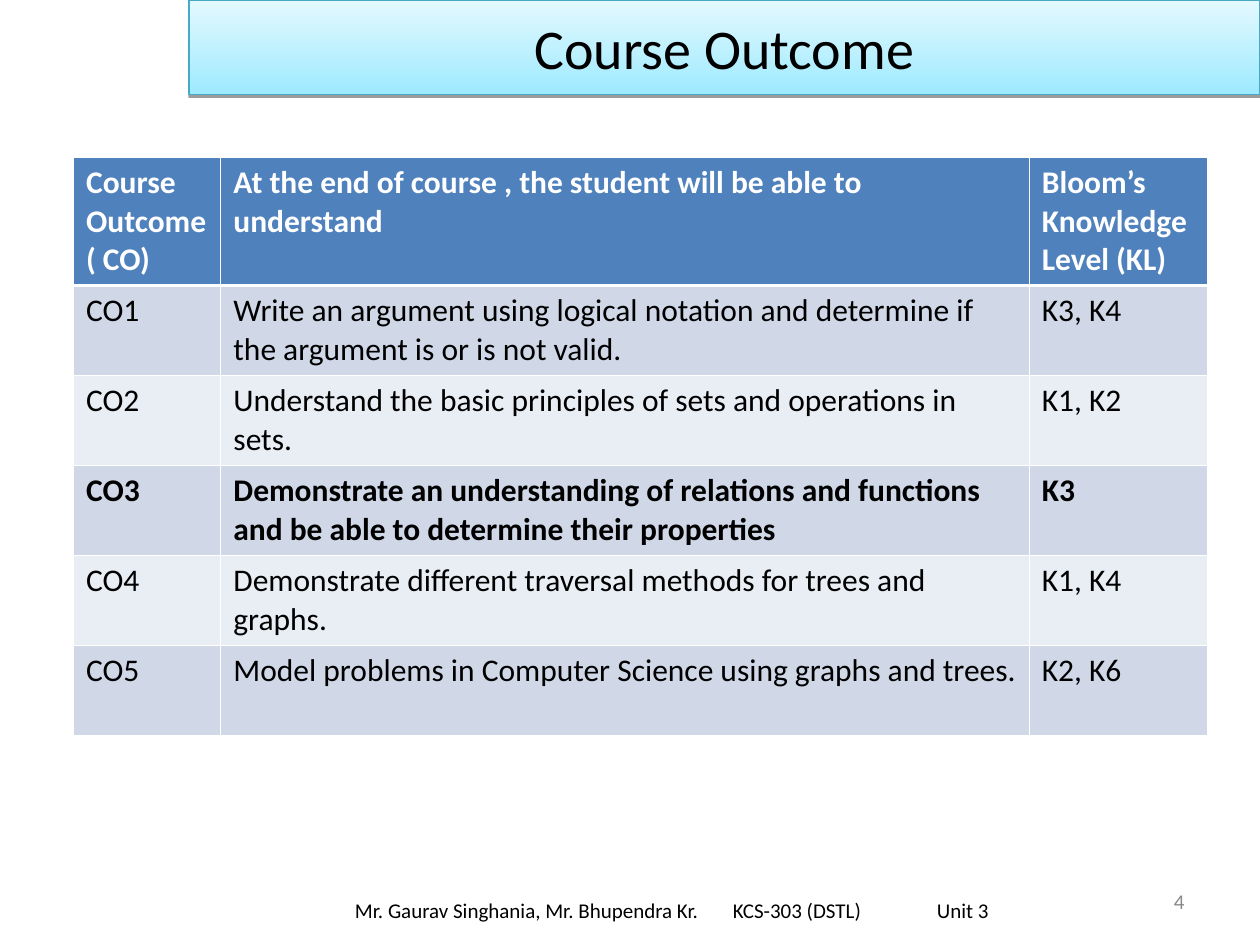
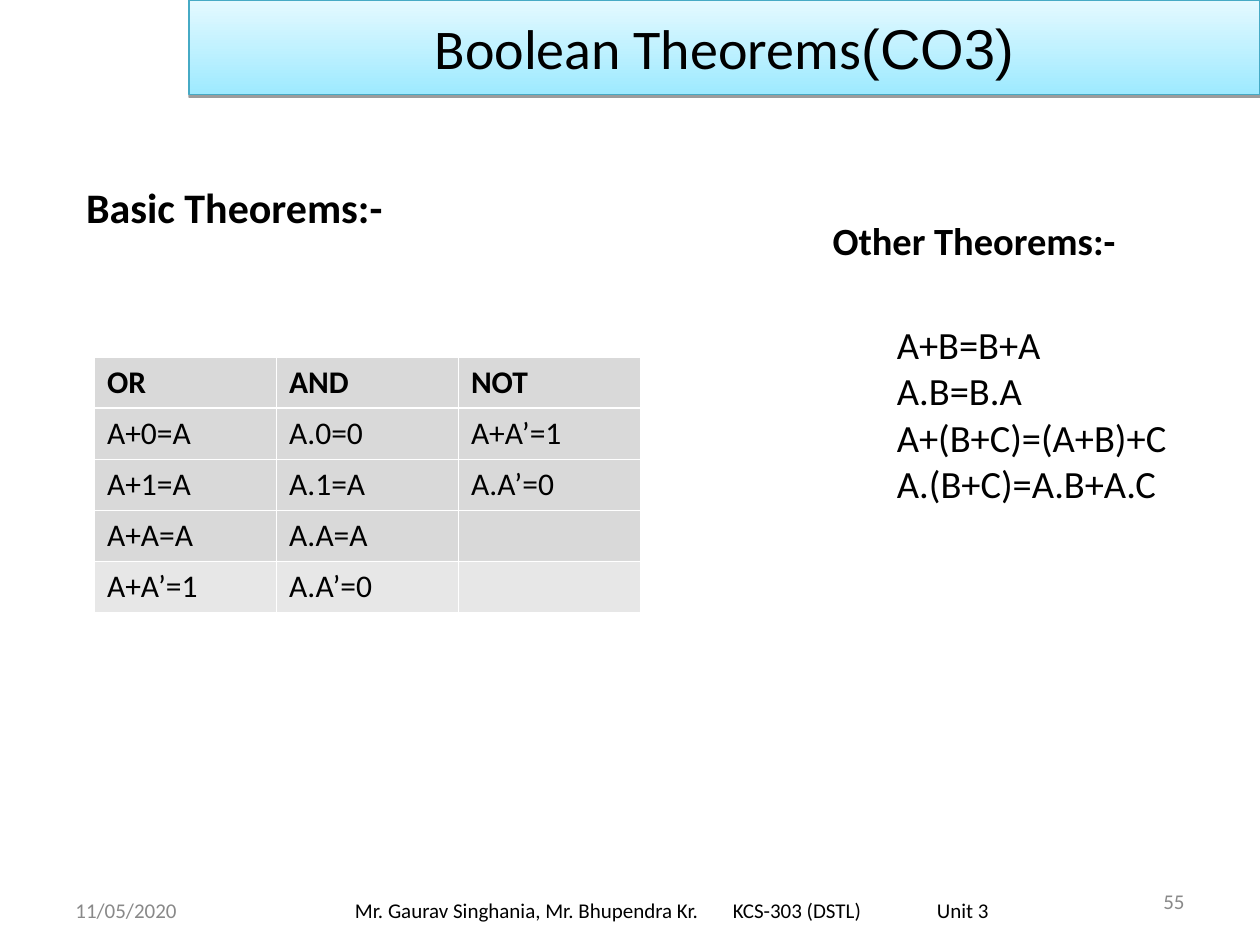
import pptx
import pptx.util
import pptx.dml.color
import pptx.enum.text
import pptx.oxml
import pptx.oxml.ns
from lxml import etree

Pt = pptx.util.Pt
ALIGN = pptx.enum.text.PP_ALIGN
ANCHOR = pptx.enum.text.MSO_ANCHOR

COLOURS = {
    "text": "000000", "white": "FFFFFF", "muted": "898989",
    "band_bottom": "9EEAFF", "band_top": "E4F9FF", "band_line": "46AAC5",
    "header": "4F81BD", "row_dark": "D0D8E8", "row_light": "E9EDF4",
    "grey": "D9D9D9", "grey_light": "E7E7E7",
}
FONT = "Calibri"
FOOTER = "Mr. Gaurav Singhania, Mr. Bhupendra Kr.\tKCS-303 (DSTL)\tUnit 3"
FOOTER_TABS = (216, 332.6)

OUTCOMES = [
    ("Course Outcome ( CO)",
     "At the end of course , the student will be able to understand",
     "Bloom’s Knowledge Level (KL)"),
    ("CO1", "Write an argument using logical notation and determine if "
            "the argument is or is not valid.", "K3, K4"),
    ("CO2", "Understand the basic principles of sets and operations in sets.",
     "K1, K2"),
    ("CO3", "Demonstrate an understanding of relations and functions and "
            "be able to determine their properties", "K3"),
    ("CO4", "Demonstrate different traversal methods for trees and graphs.",
     "K1, K4"),
    ("CO5", "Model problems in Computer Science using graphs and trees.",
     "K2, K6"),
]
BASIC_THEOREMS = [
    ("OR", "AND", "NOT"),
    ("A+0=A", "A.0=0", "A+A’=1"),
    ("A+1=A", "A.1=A", "A.A’=0"),
    ("A+A=A", "A.A=A", ""),
    ("A+A’=1", "A.A’=0", ""),
]
OTHER_THEOREMS = ["A+B=B+A", "A.B=B.A", "A+(B+C)=(A+B)+C", "A.(B+C)=A.B+A.C"]


def rgb(colour):
    return pptx.dml.color.RGBColor.from_string(COLOURS[colour])


def add_xml(parent, tag, **attributes):
    return etree.SubElement(parent, pptx.oxml.ns.qn(tag), attributes)


def style(paragraph, size, colour="text", bold=False, name=FONT):
    font = paragraph.font
    font.size, font.bold, font.name = Pt(size), bold, name
    font.color.rgb = rgb(colour)


def place(shape, left, top, width, height):
    shape.left, shape.top = Pt(left), Pt(top)
    shape.width, shape.height = Pt(width), Pt(height)


def add_title(slide, *parts):
    """Fill the title band with (text, font name) parts."""
    band = slide.shapes.title
    place(band, 108, 0, 612, 54)
    band.fill.gradient()
    band.fill.gradient_angle = 90
    for stop, colour in zip(band.fill.gradient_stops, ("band_bottom", "band_top")):
        stop.color.rgb = rgb(colour)
    band.line.color.rgb = rgb("band_line")
    band.line.width = Pt(0.75)

    band.shadow.inherit = False
    effects = band._element.spPr.find(pptx.oxml.ns.qn("a:effectLst"))
    shadow = add_xml(effects, "a:outerShdw", blurRad="0", dist=str(Pt(1.6)),
                     dir="5400000", rotWithShape="0")
    black = add_xml(shadow, "a:srgbClr", val=COLOURS["text"])
    add_xml(black, "a:alpha", val="38000")

    frame = band.text_frame
    frame.vertical_anchor = ANCHOR.MIDDLE
    frame.auto_size = pptx.enum.text.MSO_AUTO_SIZE.NONE
    heading = frame.paragraphs[0]
    heading.alignment = ALIGN.CENTER
    for text, name in parts:
        run = heading.add_run()
        run.text = text
        run.font.name = name
    style(heading, 32)


def add_text(slide, box, lines, size, colour="text", bold=False,
             align=ALIGN.LEFT, anchor=ANCHOR.TOP, inset=7.2, tabs=()):
    text_box = slide.shapes.add_textbox(*map(Pt, box))
    frame = text_box.text_frame
    frame.word_wrap = True
    frame.vertical_anchor = anchor
    frame.margin_left = Pt(inset)
    frame.text = "\n".join(lines)
    for paragraph in frame.paragraphs:
        paragraph.alignment = align
        if tabs:
            tab_list = add_xml(paragraph._p.get_or_add_pPr(), "a:tabLst")
            for position in tabs:
                add_xml(tab_list, "a:tab", pos=str(Pt(position)), algn="l")
        style(paragraph, size, colour, bold)


def add_footer(slide, number, date=None):
    add_text(slide, (185.8, 505.5, 396, 28.8), [FOOTER], 12,
             anchor=ANCHOR.MIDDLE, inset=17, tabs=FOOTER_TABS)
    add_text(slide, (516, 500.4, 168, 28.8), [number], 12, "muted",
             align=ALIGN.RIGHT, anchor=ANCHOR.MIDDLE)
    if date:
        add_text(slide, (36, 505.5, 168, 28.8), [date], 12, "muted",
                 anchor=ANCHOR.MIDDLE)


def add_borders(cell, top, bottom):
    """Draw white cell borders; must run before the cell is filled."""
    properties = cell._tc.get_or_add_tcPr()
    for side, width in (("L", 0.45), ("R", 0.45), ("T", top), ("B", bottom)):
        line = add_xml(properties, f"a:ln{side}", w=str(Pt(width)))
        add_xml(add_xml(line, "a:solidFill"), "a:srgbClr", val=COLOURS["white"])


def add_grid(slide, left, top, widths, heights, rows, fills,
             header_colour="text", bold_rows=(0,)):
    table = slide.shapes.add_table(
        len(rows), len(widths), Pt(left), Pt(top),
        Pt(sum(widths)), Pt(sum(heights))).table
    for column, width in zip(table.columns, widths):
        column.width = Pt(width)
    for r, (texts, height, fill) in enumerate(zip(rows, heights, fills)):
        table.rows[r].height = Pt(height)
        for c, text in enumerate(texts):
            cell = table.cell(r, c)
            add_borders(cell, top=1.47 if r == 1 else 0.45,
                        bottom=1.47 if r == 0 else 0.45)
            cell.fill.solid()
            cell.fill.fore_color.rgb = rgb(fill)
            cell.text = text
            style(cell.text_frame.paragraphs[0], 18,
                  header_colour if r == 0 else "text", r in bold_rows)


def add_body_heading(slide, text):
    body = slide.placeholders[1]
    place(body, 42, 100, 648, 356)
    frame = body.text_frame
    frame.auto_size = pptx.enum.text.MSO_AUTO_SIZE.NONE
    frame.text = text
    heading = frame.paragraphs[0]
    heading.space_before = Pt(0)
    properties = heading._p.get_or_add_pPr()
    properties.set("marL", "0")
    properties.set("indent", "0")
    add_xml(properties, "a:buNone")
    style(heading, 24, bold=True)


def build_course_outcome(deck):
    slide = deck.slides.add_slide(deck.slide_layouts[5])
    add_title(slide, ("Course Outcome", FONT))
    add_grid(slide, 42, 90, (84.2, 462, 102), [73.2] + [51.4] * 5, OUTCOMES,
             ["header"] + ["row_dark", "row_light"] * 2 + ["row_dark"],
             header_colour="white", bold_rows=(0, 3))
    add_footer(slide, "4")


def build_boolean_theorems(deck):
    slide = deck.slides.add_slide(deck.slide_layouts[1])
    add_title(slide, ("Boolean Theorems", FONT), ("(CO3)", "Arial"))
    add_body_heading(slide, "Basic Theorems:-")
    add_grid(slide, 54, 204, [104] * 3, [29.2] * 5, BASIC_THEOREMS,
             ["grey"] * 4 + ["grey_light"])
    add_text(slide, (468.7, 120.2, 180, 34), ["Other Theorems:-"], 22, bold=True)
    add_text(slide, (505.4, 180, 176, 113), OTHER_THEOREMS, 22)
    add_footer(slide, "55", date="11/05/2020")


def main():
    deck = pptx.Presentation()
    deck.slide_width, deck.slide_height = Pt(720), Pt(540)
    build_course_outcome(deck)
    build_boolean_theorems(deck)
    deck.save("out.pptx")


if __name__ == "__main__":
    main()
